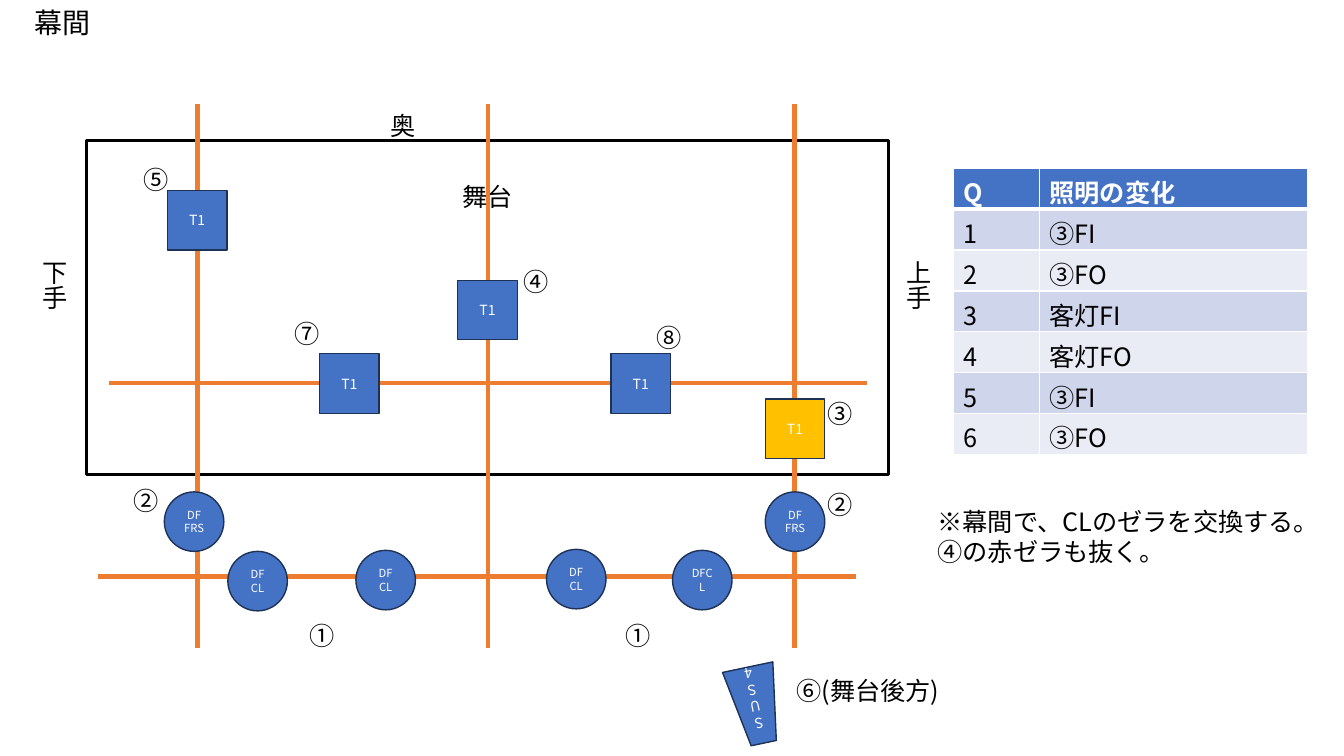
from lxml import etree
from pptx import Presentation
from pptx.dml.color import RGBColor
from pptx.enum.shapes import MSO_CONNECTOR, MSO_SHAPE
from pptx.enum.text import MSO_ANCHOR, MSO_AUTO_SIZE, PP_ALIGN
from pptx.oxml.ns import qn
from pptx.util import Inches, Pt

FONT = "Noto Sans CJK JP"
COLORS = {"text": "000000", "white": "FFFFFF", "bar": "ED7D31", "blue": "4472C4",
          "gold": "FFC000", "edge": "1E3256", "odd": "CFD5EA", "even": "E9EBF5"}
LAMP = 0.59
BAR_COLUMNS = (1.1, 3.98, 7.02)
BAR_ROWS = ((0.11, 4.33), (0.22, 2.41))
BAR_TOP, BAR_BOTTOM, BAR_WIDTH = -0.36, 5.04, 7.52
SIDES = [("舞台", 3.06, 0.36), ("奥", 2.22, -0.34)]
WINGS = [("上手", 7.95), ("下手", -0.62)]
FLOODS = [("DF\nFRS", 0.77, 3.49), ("DF\nFRS", 6.73, 3.49), ("DF\nCL", 1.4, 4.08),
          ("DF\nCL", 2.67, 4.07), ("DF\nCL", 4.56, 4.06), ("DFCL", 5.81, 4.07)]
SPOTS = [(6.73, 2.57, "gold"), (0.8, 0.5, "blue"), (3.68, 1.39, "blue"),
         (2.31, 2.12, "blue"), (5.2, 2.12, "blue")]
NUMBERS = [("①", 5.25, 4.71), ("①", 2.11, 4.71), ("②", 7.25, 3.42), ("②", 0.37, 3.38),
           ("③", 7.25, 2.51), ("④", 4.23, 1.2), ("⑤", 0.46, 0.19),
           ("⑦", 1.96, 1.72), ("⑧", 5.55, 1.76)]
CUES = [("Q", "照明の変化"), ("1", "③FI"), ("2", "③FO"), ("3", "客灯FI"),
        ("4", "客灯FO"), ("5", "③FI"), ("6", "③FO")]


def rgb(name):
    """Return the named colour."""
    return RGBColor.from_string(COLORS[name])


def write(tf, text, size, color="text", align=PP_ALIGN.LEFT, bold=False):
    """Fill a text frame and format its runs."""
    tf.text = text
    for p in tf.paragraphs:
        p.alignment = align
        for r in p.runs:
            r.font.size, r.font.bold, r.font.name = Pt(size), bold, FONT
            r.font.color.rgb = rgb(color)
            etree.SubElement(r.font._element, qn("a:ea"), typeface=FONT)


def add_label(slide, text, x, y, w, h=0.4, align=PP_ALIGN.LEFT, vertical=False):
    """Add an 18 point label, optionally in vertical writing."""
    tf = slide.shapes.add_textbox(*map(Inches, (x, y, w, h))).text_frame
    tf.word_wrap = True
    tf.auto_size = MSO_AUTO_SIZE.SHAPE_TO_FIT_TEXT
    if vertical:
        tf._txBody.bodyPr.set("vert", "eaVert")
    write(tf, text, 18, align=align)


def add_lamp(slide, kind, text, x, y, size, fill="blue", w=LAMP, h=LAMP):
    """Add one lantern symbol with its type written inside."""
    sp = slide.shapes.add_shape(kind, *map(Inches, (x, y, w, h)))
    sp.shadow.inherit = False
    sp.fill.solid()
    sp.fill.fore_color.rgb = rgb(fill)
    sp.line.color.rgb, sp.line.width = rgb("edge"), Pt(1)
    sp.text_frame.vertical_anchor = MSO_ANCHOR.MIDDLE
    write(sp.text_frame, text, size, "white", PP_ALIGN.CENTER)
    return sp


def add_bar(slide, x1, y1, x2, y2):
    """Add one lighting bar."""
    line = slide.shapes.add_connector(MSO_CONNECTOR.STRAIGHT, *map(Inches, (x1, y1, x2, y2)))
    line.line.color.rgb, line.line.width = rgb("bar"), Pt(3)
    etree.SubElement(line._element.spPr, qn("a:effectLst"))


def add_title(slide, x, y, w, h):
    """Place the scene name in the title placeholder."""
    title = slide.shapes.title
    title.left, title.top, title.width, title.height = map(Inches, (x, y, w, h))
    tf = title.text_frame
    tf.vertical_anchor, tf.auto_size = MSO_ANCHOR.TOP, MSO_AUTO_SIZE.NONE
    write(tf, "幕間", 20)


def add_stage(slide, x, y, w, h):
    """Draw the stage outline with its place names and bars."""
    sp = slide.shapes.add_shape(MSO_SHAPE.RECTANGLE, *map(Inches, (x, y, w, h)))
    sp.shadow.inherit = False
    sp.fill.background()
    sp.line.color.rgb, sp.line.width = rgb("text"), Pt(2.25)
    for text, dx, dy in SIDES:
        add_label(slide, text, x + dx, y + dy, 1.84, align=PP_ALIGN.CENTER)
    for text, dx in WINGS:
        add_label(slide, text, x + dx, y + 1.09, 0.5, 1.15, PP_ALIGN.CENTER, True)
    for dx in BAR_COLUMNS:
        add_bar(slide, x + dx, y + BAR_TOP, x + dx, y + BAR_BOTTOM)
    for dx, dy in BAR_ROWS:
        add_bar(slide, x + dx, y + dy, x + dx + BAR_WIDTH, y + dy)


def add_lighting(slide, x, y):
    """Place the lanterns and their numbers from the stage corner."""
    for text, dx, dy in FLOODS:
        add_lamp(slide, MSO_SHAPE.OVAL, text, x + dx, y + dy, 8)
    for dx, dy, fill in SPOTS:
        add_lamp(slide, MSO_SHAPE.RECTANGLE, "T1", x + dx, y + dy, 10, fill)
    follow = add_lamp(slide, MSO_SHAPE.TRAPEZOID, "SUS4", x + 6.38, y + 5.22, 10, w=0.51, h=0.77)
    follow.rotation = 168.1
    for text, dx, dy in NUMBERS:
        add_label(slide, text, x + dx, y + dy, 0.69)
    add_label(slide, "⑥(舞台後方)", x + 6.94, y + 5.26, 1.85)


def set_borders(cell, bottom):
    """Draw white borders round a cell."""
    tcPr = cell._tc.get_or_add_tcPr()
    for side, width in (("L", 1), ("R", 1), ("T", 1), ("B", bottom)):
        ln = etree.SubElement(tcPr, qn(f"a:ln{side}"), w=str(Pt(width)))
        fill = etree.SubElement(ln, qn("a:solidFill"))
        etree.SubElement(fill, qn("a:srgbClr"), val=COLORS["white"])


def add_cues(slide, x, y, w, h):
    """Add the table of lighting cues."""
    table = slide.shapes.add_table(len(CUES), 2, *map(Inches, (x, y, w, h))).table
    table.columns[0].width, table.columns[1].width = Inches(0.85), Inches(w - 0.85)
    for i, row in enumerate(CUES):
        table.rows[i].height = Inches(h / len(CUES))
        for j, text in enumerate(row):
            cell = table.cell(i, j)
            set_borders(cell, 1 if i else 3)
            cell.fill.solid()
            cell.fill.fore_color.rgb = rgb(("even", "odd")[i % 2] if i else "blue")
            write(cell.text_frame, text, 18, "text" if i else "white", bold=not i)


def main():
    """Build the lighting plan slide."""
    prs = Presentation()
    prs.slide_width, prs.slide_height = Inches(13.33), Inches(7.5)
    slide = prs.slides.add_slide(prs.slide_layouts[5])
    add_title(slide, 0.24, 0, 5.36, 0.44)
    add_stage(slide, 0.86, 1.39, 7.95, 3.32)
    add_lighting(slide, 0.86, 1.39)
    add_cues(slide, 9.46, 1.67, 3.51, 2.84)
    add_label(slide, "※幕間で、CLのゼラを交換する。\n④の赤ゼラも抜く。", 9.2, 4.97, 4.05, 0.71)
    prs.save("out.pptx")


if __name__ == "__main__":
    main()
